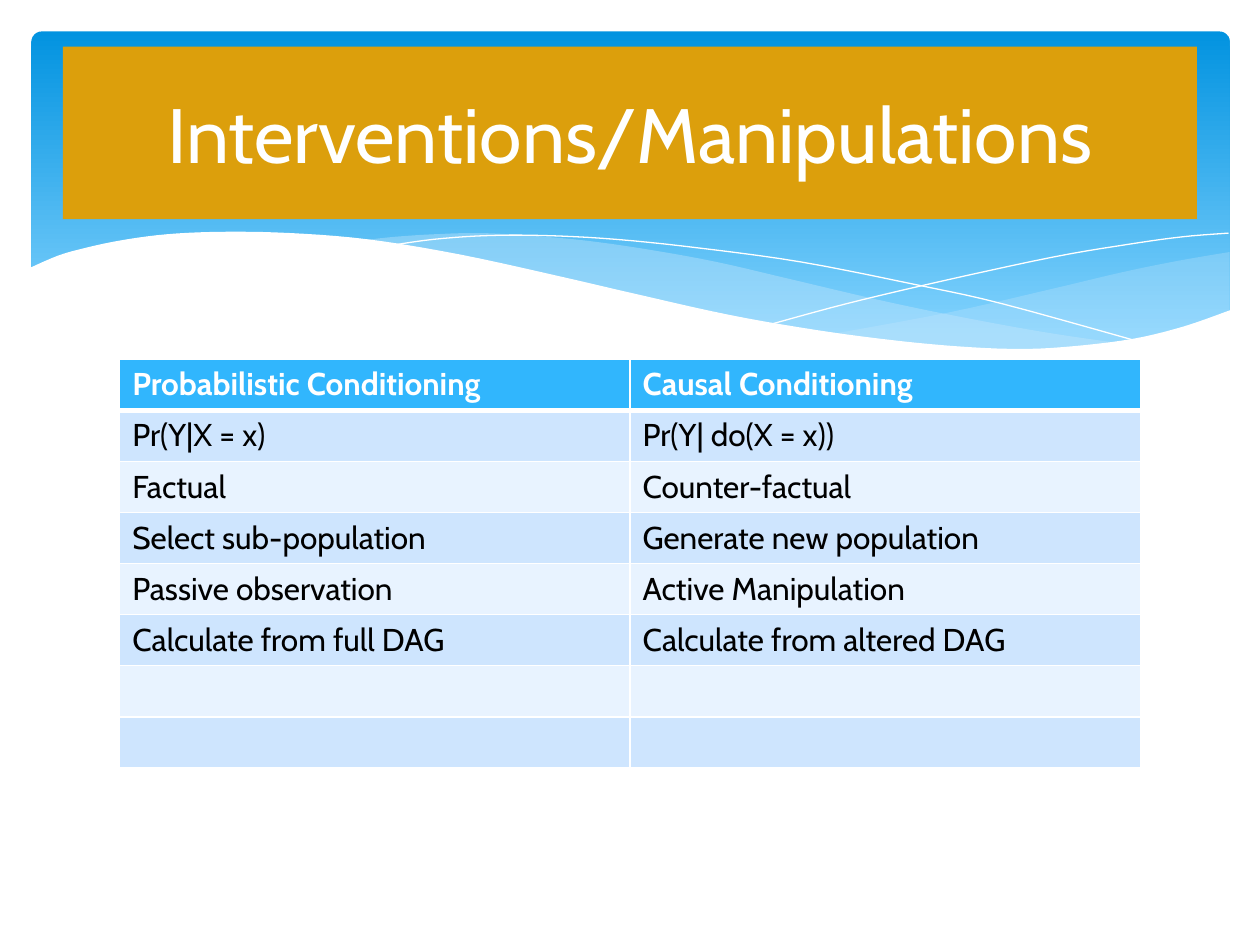
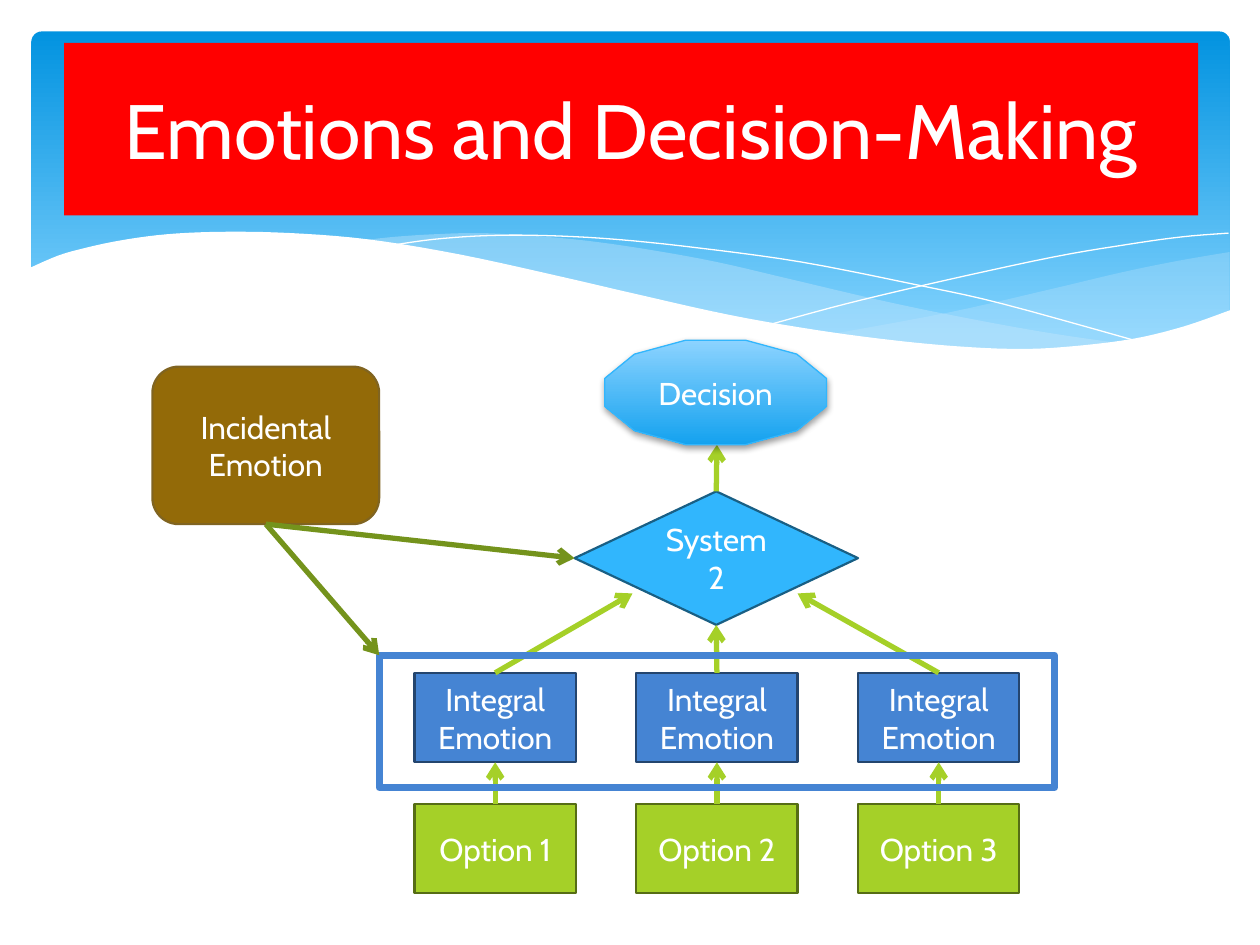
import lxml.etree
import pptx
import pptx.dml.color
import pptx.enum.dml
import pptx.enum.shapes
import pptx.enum.text
import pptx.oxml.ns
import pptx.util

COLUMNS, ROWS = 100, 75
WIDTH, HEIGHT = pptx.util.Inches(10), pptx.util.Inches(7.5)
FONT = "Cabin"
SHAPE = pptx.enum.shapes.MSO_SHAPE
TOP, LEFT, BOTTOM = 0, 1, 2

COLOURS = {
    "white": "FFFFFF", "black": "000000", "band top": "0293E0", "band bottom": "83D3FE",
    "wave": "C6E7FC", "gold": "DC9F0C", "red": "FF0000", "sky": "31B6FD",
    "row dark": "CEE5FE", "row light": "E8F3FF", "green": "A5D028", "green edge": "566D15",
    "olive": "74931C", "blue": "4584D3", "blue edge": "24456E", "sky edge": "195F84",
    "brown": "936A08", "brown edge": "806421", "decision top": "8CD3FF",
    "decision bottom": "14A2EF",
}

RIGHT_WAVE = [
    [(97.6, 20), (93.5, 20.7), (89.1, 21.6), (83.2, 23), (75.3, 24.8), (66.1, 26.5)],
    [(66.1, 26.5), (70.5, 27.1), (75.7, 27.6), (80.3, 27.8), (85.4, 27.6), (89.7, 27),
     (93.5, 26.2), (97.6, 24.7)],
]
MIDDLE_WAVE = [
    [(89.3, 27.3), (83.7, 26.5), (77.5, 25.4), (70.6, 24), (62.9, 22.2), (56.9, 20.8),
     (51.4, 19.8), (46.5, 19.1), (42, 18.7), (38, 18.5), (34.4, 18.6), (31.3, 18.8), (28.6, 19.1)],
    [(28.6, 19.1), (34.2, 19.9), (40.4, 21.1), (44.9, 22.2), (53, 24), (60.1, 25.5),
     (66.5, 26.6), (72.2, 27.4), (77.3, 27.7), (81.8, 27.8), (85.7, 27.7), (89.3, 27.3)],
]
FALLING_LINE = [
    [(30.9, 19.5), (34.4, 19), (38.7, 18.7), (43.3, 18.7), (48.9, 19), (55.6, 19.7),
     (63.6, 20.8), (72.7, 22.6), (79.5, 24.1), (90.7, 27.2)],
]
RISING_LINE = [
    [(61.3, 25.7), (67.2, 24.1), (74.8, 22.3), (83.6, 20.4), (89.5, 19.4), (93.8, 18.8), (97.5, 18.5)],
]
FRONT_WAVE = [
    [(97.7, 24.6), (94, 25.9), (89.9, 26.9), (85, 27.5), (80.9, 27.7), (76.1, 27.5), (70.8, 27),
     (64.8, 26.2), (57.9, 25), (50.3, 23.3), (44.7, 22), (36.5, 20.2), (29.2, 19), (23, 18.5),
     (17.7, 18.4), (13.2, 18.6), (9.5, 19.1), (6.7, 19.7), (4.6, 20.3), (2.3, 21.3)],
    [(2.3, 32.9), (97.7, 32.9)],
]

CONDITIONING = [
    ("Probabilistic Conditioning", "Causal Conditioning"),
    ("Pr(Y|X = x)", "Pr(Y| do(X = x))"),
    ("Factual", "Counter-factual"),
    ("Select sub-population", "Generate new population"),
    ("Passive observation", "Active Manipulation"),
    ("Calculate from full DAG", "Calculate from altered DAG"),
    ("", ""),
    ("", ""),
]


def across(columns):
    """Turn grid columns into a length."""
    return round(WIDTH * columns / COLUMNS)


def down(rows):
    """Turn grid rows into a length."""
    return round(HEIGHT * rows / ROWS)


def colour(name):
    """Look up a colour by name."""
    return pptx.dml.color.RGBColor.from_string(COLOURS[name])


def add_xml(parent, tag, **attributes):
    """Append a drawing element and return it."""
    return lxml.etree.SubElement(parent, pptx.oxml.ns.qn(tag), attributes)


def apply_format(target, values):
    """Set every attribute named in the format values."""
    for name, value in values.items():
        setattr(target, name, value)


def paint(shape, fill=None, line=None, line_width=1.25):
    """Give a shape a fill or gradient, an outline and no shadow."""
    shape.shadow.inherit = False
    if isinstance(fill, list):
        shape.fill.gradient()
        shape.fill.gradient_angle = 270
        for stop, (position, name) in zip(shape.fill.gradient_stops, fill):
            stop.position = position
            stop.color.rgb = colour(name)
    elif fill:
        shape.fill.solid()
        shape.fill.fore_color.rgb = colour(fill)
    else:
        shape.fill.background()
    if line:
        shape.line.color.rgb = colour(line)
        shape.line.width = pptx.util.Pt(line_width)
    else:
        shape.line.fill.background()


def write(text_frame, text, ink="white", size=18, bold=False, align="CENTER"):
    """Write one formatted paragraph."""
    paragraph = text_frame.paragraphs[0]
    paragraph.alignment = getattr(pptx.enum.text.PP_ALIGN, align)
    run = paragraph.add_run()
    run.text = text
    apply_format(run.font, {"name": FONT, "size": pptx.util.Pt(size), "bold": bold})
    run.font.color.rgb = colour(ink)


def add_box(slide, kind, left, top, width, height, text="", size=18, **look):
    """Add a preset shape on the grid, with centred text if any."""
    shape = slide.shapes.add_shape(kind, across(left), down(top), across(width), down(height))
    paint(shape, **look)
    if text:
        anchor = pptx.enum.text.MSO_ANCHOR.MIDDLE
        apply_format(shape.text_frame, {"word_wrap": True, "vertical_anchor": anchor})
        write(shape.text_frame, text, size=size)
    return shape


def smooth(knots, steps=5):
    """Return the points of a Catmull-Rom curve through the knots."""
    padded = [knots[0], *knots, knots[-1]]
    points = [knots[0]]
    for before, start, end, after in zip(padded, padded[1:], padded[2:], padded[3:]):
        for step in range(1, steps + 1):
            t = step / steps
            points.append(tuple(
                (2 * b + (c - a) * t + (2 * a - 5 * b + 4 * c - d) * t ** 2
                 + (3 * b - a - 3 * c + d) * t ** 3) / 2
                for a, b, c, d in zip(before, start, end, after)))
    return points


def add_wave(slide, curves, alpha=None, closed=True, **look):
    """Draw curves joined end to end as one outline."""
    points = [(across(x), down(y)) for knots in curves for x, y in smooth(knots)]
    builder = slide.shapes.build_freeform(*points[0], scale=1.0)
    builder.add_line_segments(points[1:], close=closed)
    wave = builder.convert_to_shape()
    paint(wave, **look)
    if alpha:
        fill = wave._element.spPr.find(pptx.oxml.ns.qn("a:solidFill"))
        add_xml(fill[0], "a:alpha", val=str(alpha * 1000))


def add_backdrop(slide):
    """Draw the gradient band and the waves shared by the slides."""
    band = add_box(slide, SHAPE.ROUNDED_RECTANGLE, 2.5, 2.5, 95.1, 27,
                   fill=[(0, "band top"), (0.9, "band bottom")])
    band.adjustments[0] = 0.03
    add_wave(slide, RIGHT_WAVE, fill="wave", alpha=29)
    add_wave(slide, MIDDLE_WAVE, fill="wave", alpha=40)
    for curves in (FALLING_LINE, RISING_LINE):
        add_wave(slide, curves, closed=False, line="white", line_width=0)
    add_wave(slide, FRONT_WAVE, fill="white")


def add_title(slide, text, left, top, fill):
    """Add the title on its coloured panel."""
    add_box(slide, SHAPE.RECTANGLE, left, top, 90, 13.7, text, size=44, fill=fill)


def add_borders(cell, widths):
    """Draw white cell borders; widths run left, right, top, bottom."""
    properties = cell._tc.get_or_add_tcPr()
    for index, (side, width) in enumerate(zip("LRTB", widths)):
        border = add_xml(properties, f"a:ln{side}", w=str(pptx.util.Pt(width)))
        add_xml(add_xml(border, "a:solidFill"), "a:srgbClr", val=COLOURS["white"])
        properties.insert(index, border)


def add_comparison(slide, rows, left, top, width, row_height):
    """Add a table with a header row and banded rows."""
    frame = slide.shapes.add_table(len(rows), len(rows[0]), across(left), down(top),
                                   across(width), down(row_height * len(rows)))
    for row_index, texts in enumerate(rows):
        header = row_index == 0
        fill = "sky" if header else ("row light", "row dark")[row_index % 2]
        for column_index, text in enumerate(texts):
            cell = frame.table.cell(row_index, column_index)
            cell.fill.solid()
            cell.fill.fore_color.rgb = colour(fill)
            add_borders(cell, (1, 1, 3 if row_index == 1 else 1, 3 if header else 1))
            if text:
                write(cell.text_frame, text, "white" if header else "black",
                      bold=header, align="LEFT")


def add_arrow(slide, source, source_site, point=(0, 0), target=None, ink="green"):
    """Draw an arrow from a shape's site to a point or to a target shape and site."""
    arrow = slide.shapes.add_connector(pptx.enum.shapes.MSO_CONNECTOR.STRAIGHT, 0, 0,
                                       across(point[0]), down(point[1]))
    arrow.begin_connect(source, source_site)
    if target:
        arrow.end_connect(*target)
    arrow.line.color.rgb = colour(ink)
    arrow.line.width = pptx.util.Pt(3)
    properties = arrow._element.spPr
    add_xml(properties.find(pptx.oxml.ns.qn("a:ln")), "a:tailEnd", type="arrow")
    add_xml(properties, "a:effectLst")


def add_shadow(shape):
    """Give a shape a soft shadow below it."""
    effects = shape._element.spPr.find(pptx.oxml.ns.qn("a:effectLst"))
    shadow = add_xml(effects, "a:outerShdw", blurRad=str(pptx.util.Pt(4)),
                     dist=str(pptx.util.Pt(2)), dir="5400000", rotWithShape="0")
    add_xml(add_xml(shadow, "a:srgbClr", val=COLOURS["black"]), "a:alpha", val="38000")


def add_decision_diagram(slide):
    """Draw the options, emotions and decision with their arrows."""
    system = add_box(slide, SHAPE.FLOWCHART_DECISION, 45.6, 39, 22.5, 10.6, "System 2",
                     fill="sky", line="sky edge")
    system_entries = [{"point": (50.2, 47.1)}, {"target": (system, BOTTOM)}, {"point": (63.3, 47.1)}]
    for index, entry in enumerate(system_entries):
        left = 32.9 + 17.6 * index
        option = add_box(slide, SHAPE.FLOWCHART_PROCESS, left, 63.8, 12.8, 7.1,
                         f"Option {index + 1}", fill="green", line="green edge")
        emotion = add_box(slide, SHAPE.FLOWCHART_PROCESS, left, 53.4, 12.8, 7.1,
                          "Integral Emotion", fill="blue", line="blue edge")
        add_arrow(slide, option, TOP, target=(emotion, BOTTOM))
        add_arrow(slide, emotion, TOP, **entry)
    add_arrow(slide, system, TOP, point=(56.9, 35.3))
    add_box(slide, SHAPE.FLOWCHART_PROCESS, 30.1, 52, 53.6, 10.5, line="blue", line_width=4)
    incidental = add_box(slide, SHAPE.FLOWCHART_ALTERNATE_PROCESS, 12.1, 29.1, 18, 12.5,
                         "Incidental Emotion", fill="brown", line="brown edge")
    add_arrow(slide, incidental, BOTTOM, point=(30.1, 52), ink="olive")
    add_arrow(slide, incidental, BOTTOM, target=(system, LEFT), ink="olive")
    decision = add_box(slide, SHAPE.DODECAGON, 48, 27, 17.6, 8.3, "Decision",
                       fill=[(0, "decision top"), (1, "decision bottom")],
                       line="sky", line_width=0.75)
    add_shadow(decision)


def main():
    """Build both slides and save them."""
    presentation = pptx.Presentation()
    apply_format(presentation, {"slide_width": WIDTH, "slide_height": HEIGHT})
    interventions, emotions = (
        presentation.slides.add_slide(presentation.slide_layouts[6]) for _ in range(2))
    for slide in (interventions, emotions):
        add_backdrop(slide)
    add_comparison(interventions, CONDITIONING, 9.5, 28.5, 81, 4.05)
    add_title(interventions, "Interventions/Manipulations", 5, 3.7, "gold")
    add_title(emotions, "Emotions and Decision-Making", 5.1, 3.4, "red")
    add_decision_diagram(emotions)
    presentation.save("out.pptx")


if __name__ == "__main__":
    main()
